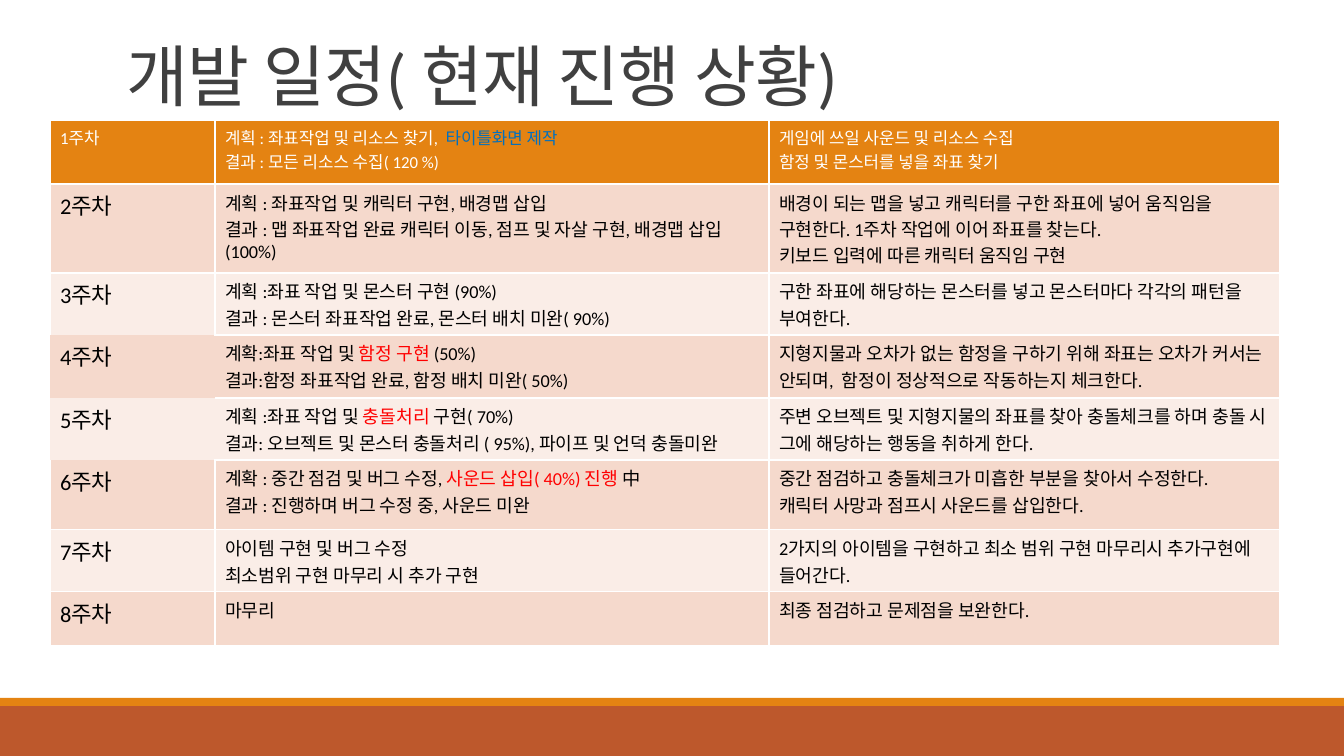
from lxml import etree
from pptx import Presentation, util as u
from pptx.dml.color import RGBColor
from pptx.enum import shapes, text
from pptx.oxml.ns import qn

COLORS = {"orange": "E48312", "rust": "BD582C", "title": "404040", "white": "FFFFFF",
          "black": "000000", "red": "FF0000", "blue": "0070C0",
          "band_dark": "F5D9CC", "band_light": "FAEDE7"}
FONT = "Calibri"
TITLE = "개발 일정( 현재 진행 상황)"

# Each week: plan lines, detail lines; a line is a string or a list of (text, color) runs
WEEKS = [
    ([[("계획 : 좌표작업 및 리소스 찾기,  ", None), ("타이틀화면 제작", "blue")],
      "결과 : 모든 리소스 수집( 120 %)"],
     ["게임에 쓰일 사운드 및 리소스 수집", "함정 및 몬스터를 넣을 좌표 찾기"]),
    (["계획 : 좌표작업 및 캐릭터 구현, 배경맵 삽입",
      "결과 : 맵 좌표작업 완료 캐릭터 이동, 점프 및 자살 구현, 배경맵 삽입(100%)"],
     ["배경이 되는 맵을 넣고 캐릭터를 구한 좌표에 넣어 움직임을 구현한다. 1주차 작업에 이어 좌표를 찾는다.",
      "키보드 입력에 따른 캐릭터 움직임 구현"]),
    (["계획 :좌표 작업 및 몬스터 구현 (90%)",
      "결과 : 몬스터 좌표작업 완료, 몬스터 배치 미완( 90%)"],
     ["구한 좌표에 해당하는 몬스터를 넣고 몬스터마다 각각의 패턴을 부여한다."]),
    ([[("계확:좌표 작업 및 ", None), ("함정 구현 ", "red"), ("(50%)", None)],
      "결과:함정 좌표작업 완료, 함정 배치 미완( 50%)"],
     ["지형지물과 오차가 없는 함정을 구하기 위해 좌표는 오차가 커서는 안되며,  "
      "함정이 정상적으로 작동하는지 체크한다."]),
    ([[("계획 :좌표 작업 및 ", None), ("충돌처리", "red"), (" 구현( 70%) ", None)],
      "결과: 오브젝트 및 몬스터 충돌처리 ( 95%), 파이프 및 언덕 충돌미완"],
     ["주변 오브젝트 및 지형지물의 좌표를 찾아 충돌체크를 하며 충돌 시 그에 해당하는 행동을 취하게 한다."]),
    ([[("계확 : 중간 점검 및 버그 수정, ", None), ("사운드 삽입( 40%) 진행 ", "red"), ("中", None)],
      "결과 : 진행하며 버그 수정 중, 사운드 미완"],
     ["중간 점검하고 충돌체크가 미흡한 부분을 찾아서 수정한다.",
      "캐릭터 사망과 점프시 사운드를 삽입한다."]),
    (["아이템 구현 및 버그 수정", "최소범위 구현 마무리 시 추가 구현 "],
     ["2가지의 아이템을 구현하고 최소 범위 구현 마무리시 추가구현에 들어간다."]),
    (["마무리"], ["최종 점검하고 문제점을 보완한다."]),
]
COL_WIDTHS = [165, 554, 511]
ROW_HEIGHTS = [64, 89, 62, 63, 62, 70, 62, 54]
BORDERLESS = {(3, 0), (4, 0)}
EDGES = {"a:lnL": (0, -1), "a:lnR": (0, 1), "a:lnT": (-1, 0), "a:lnB": (1, 0)}
WIDTH, HEIGHT = 1344, 756


def px(n):
    return u.Emu(round(n * 914400 / 100.8))


def rgb(name):
    return RGBColor.from_string(COLORS[name])


def style(p, size, color):
    p.font.name, p.font.size = FONT, u.Pt(size)
    p.font.color.rgb = rgb(color)


def write(tf, lines, size, color):
    for i, line in enumerate(lines):
        p = tf.paragraphs[0] if i == 0 else tf.add_paragraph()
        style(p, size, color)
        for words, run_color in [(line, None)] if isinstance(line, str) else line:
            r = p.add_run()
            r.text = words
            # Runs carry the full style so that mixed colours stay consistent
            style(r, size, run_color or color)


def set_borders(cell, row, col):
    tcPr = cell._tc.get_or_add_tcPr()
    for i, (tag, (dr, dc)) in enumerate(EDGES.items()):
        ln = etree.Element(qn(tag), w=str(u.Pt(1)))
        if BORDERLESS & {(row, col), (row + dr, col + dc)}:
            etree.SubElement(ln, qn("a:noFill"))
        else:
            fill = etree.SubElement(ln, qn("a:solidFill"))
            etree.SubElement(fill, qn("a:srgbClr"), val=COLORS["white"])
        tcPr.insert(i, ln)


prs = Presentation()
prs.slide_width, prs.slide_height = px(WIDTH), px(HEIGHT)
s = prs.slides.add_slide(prs.slide_layouts[6])

# Footer bands
for top, height, color in [(706, 50, "rust"), (698, 8, "orange")]:
    sp = s.shapes.add_shape(shapes.MSO_SHAPE.RECTANGLE, 0, px(top), px(WIDTH), px(height))
    sp.shadow.inherit = False
    sp.fill.solid()
    sp.fill.fore_color.rgb = rgb(color)
    sp.line.fill.background()

# Title
tf = s.shapes.add_textbox(px(117), px(-40), px(1109), px(160)).text_frame
tf.word_wrap = True
tf.vertical_anchor = text.MSO_ANCHOR.BOTTOM
write(tf, [TITLE], 48, "title")
p = tf.paragraphs[0]
p.line_spacing = 0.85
p.runs[0].font._element.set("spc", "-50")

# Weekly schedule table
table = s.shapes.add_table(len(WEEKS), len(COL_WIDTHS), px(50), px(120),
                           px(sum(COL_WIDTHS)), px(sum(ROW_HEIGHTS))).table
for column, width in zip(table.columns, COL_WIDTHS):
    column.width = px(width)
for row, (plan, detail) in enumerate(WEEKS):
    table.rows[row].height = px(ROW_HEIGHTS[row])
    header = row == 0
    band = "orange" if header else "band_dark" if row % 2 else "band_light"
    for col, lines in enumerate([[f"{row + 1}주차"], plan, detail]):
        cell = table.cell(row, col)
        cell.fill.solid()
        cell.fill.fore_color.rgb = rgb(band)
        size = 12 if header else 16 if col == 0 else 13
        write(cell.text_frame, lines, size, "white" if header else "black")
        set_borders(cell, row, col)

prs.save("out.pptx")
